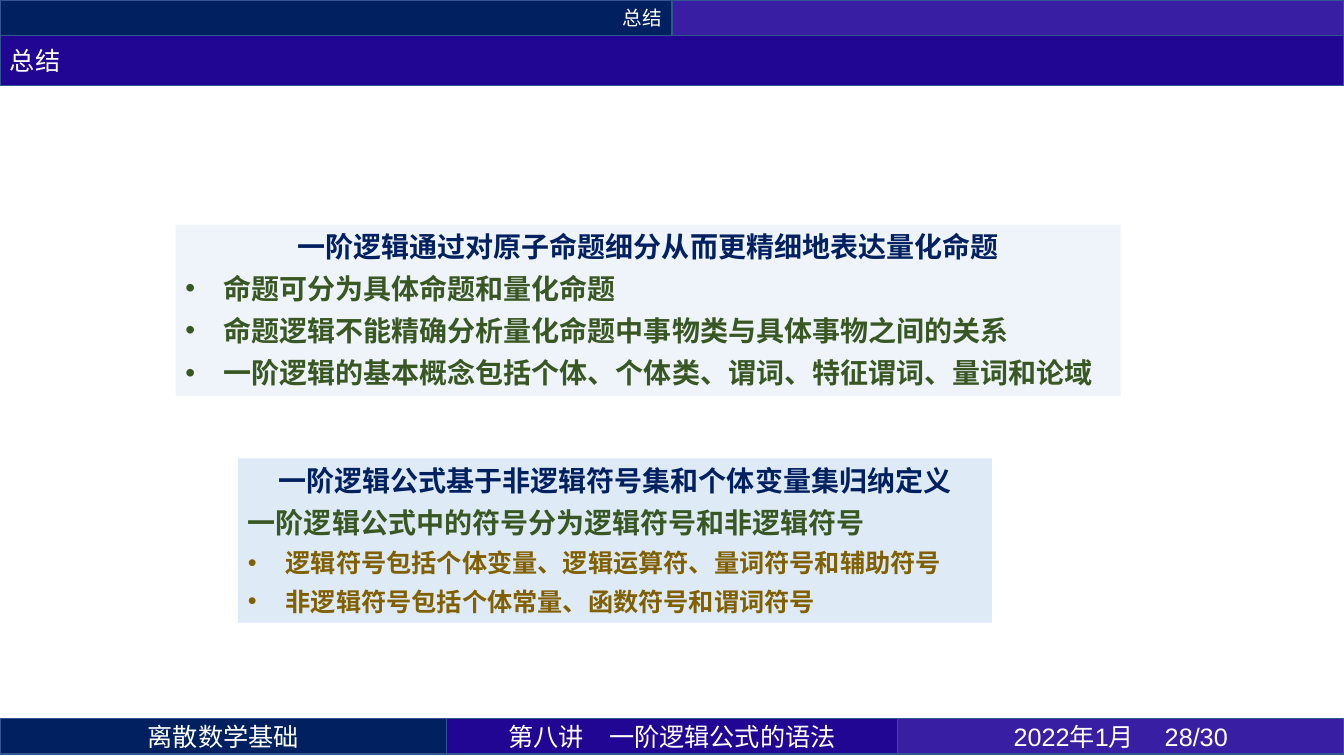
from dataclasses import dataclass

from lxml.etree import SubElement
from pptx import Presentation
from pptx.dml.color import RGBColor as RGB
from pptx.enum.shapes import MSO_SHAPE as SHAPE
from pptx.enum.text import MSO_ANCHOR as ANCHOR, MSO_AUTO_SIZE as FIT, PP_ALIGN as AL
from pptx.oxml.ns import qn
from pptx.util import Pt


@dataclass(frozen=True)
class Theme:
    navy: str = "002060"
    indigo: str = "210694"
    violet: str = "371EA2"
    edge: str = "325491"
    panel: str = "DEEBF7"
    green: str = "385723"
    brown: str = "806000"
    white: str = "FFFFFF"
    cjk: str = "Noto Sans CJK SC"
    latin: str = "Arial"
    small: int = 14
    body: int = 18
    head: int = 20
    indent: int = 27
    gap: int = 6


class Deck:
    def __init__(self, prs, theme):
        self.t = theme
        self.s = prs.slides.add_slide(prs.slide_layouts[6])

    def rect(self, box, fill, alpha=None):
        sp = self.s.shapes.add_shape(SHAPE.RECTANGLE, *map(Pt, box))
        sp.shadow.inherit = False
        sp.fill.solid()
        sp.fill.fore_color.rgb = RGB.from_string(fill)
        if alpha:
            color = sp.fill._xPr.find(qn("a:solidFill"))[0]
            SubElement(color, qn("a:alpha"), val=str(alpha * 1000))
        sp.line.fill.background()
        return sp

    def run(self, p, text, size, color, bold=False, font=None):
        r = p.add_run()
        r.text = text
        r.font.size, r.font.bold = Pt(size), bold
        r.font.name = font or self.t.cjk
        r.font.color.rgb = RGB.from_string(color)
        SubElement(r._r.get_or_add_rPr(), qn("a:ea"), typeface=self.t.cjk)

    def bar(self, box, fill, text="", align=AL.CENTER, size=None, font=None):
        sp = self.rect(box, fill)
        sp.line.color.rgb = RGB.from_string(self.t.edge)
        sp.line.width = Pt(1)
        tf = sp.text_frame
        tf.word_wrap, tf.vertical_anchor = True, ANCHOR.MIDDLE
        p = tf.paragraphs[0]
        p.alignment = align
        if text:
            self.run(p, text, size or self.t.body, self.t.white, font=font)

    def bullet(self, p):
        pPr = p._p.get_or_add_pPr()
        pPr.set("marL", str(Pt(self.t.indent)))
        pPr.set("indent", str(-Pt(self.t.indent)))
        SubElement(pPr, qn("a:buFont"), typeface=self.t.latin)
        SubElement(pPr, qn("a:buChar"), char="•")

    def panel(self, box, heading, lines, spacing, alpha=None):
        """Each line is (text, size, color, bulleted); spacing names the paragraph side."""
        tf = self.rect(box, self.t.panel, alpha).text_frame
        tf.word_wrap, tf.vertical_anchor = True, ANCHOR.TOP
        tf.auto_size = FIT.SHAPE_TO_FIT_TEXT
        rows = [(heading, self.t.head, self.t.navy, False), *lines]
        for i, (text, size, color, bulleted) in enumerate(rows):
            p = tf.add_paragraph() if i else tf.paragraphs[0]
            p.alignment = AL.LEFT if i else AL.CENTER
            setattr(p, spacing, Pt(self.t.gap))
            if bulleted:
                self.bullet(p)
            self.run(p, text, size, color, bold=True)


def main():
    prs = Presentation()
    W, H = 960, 540
    prs.slide_width, prs.slide_height = Pt(W), Pt(H)
    t = Theme()
    d = Deck(prs, t)

    # Navigation bars
    bar_h, title_h = 25.2, 36
    d.bar((0, 0, W / 2, bar_h), t.navy, "总结", AL.RIGHT, t.small)
    d.bar((W / 2, 0, W / 2, bar_h), t.violet)

    # Footer: equal outer cells around the lecture title
    side, foot_y = 319, 513.4
    d.bar((0, foot_y, side, bar_h), t.navy, "离散数学基础")
    d.bar((side, foot_y, W - 2 * side, bar_h), t.indigo, "第八讲\t一阶逻辑公式的语法")
    d.bar((W - side, foot_y, side, bar_h), t.violet, "2022年1月 \t28/30", font=t.latin)

    # Slide title
    d.bar((0, bar_h, W, title_h), t.indigo, "总结", AL.LEFT)

    # Summary panels
    d.panel((125.4, 160.4, 675, 122.4), "一阶逻辑通过对原子命题细分从而更精细地表达量化命题", [
        (text, t.head, t.green, True) for text in (
            "命题可分为具体命题和量化命题",
            "命题逻辑不能精确分析量化命题中事物类与具体事物之间的关系",
            "一阶逻辑的基本概念包括个体、个体类、谓词、特征谓词、量词和论域",
        )
    ], "space_before", alpha=50)
    d.panel((170, 327.4, 538.5, 117.4), "一阶逻辑公式基于非逻辑符号集和个体变量集归纳定义", [
        ("一阶逻辑公式中的符号分为逻辑符号和非逻辑符号", t.head, t.green, False),
        ("逻辑符号包括个体变量、逻辑运算符、量词符号和辅助符号", t.body, t.brown, True),
        ("非逻辑符号包括个体常量、函数符号和谓词符号", t.body, t.brown, True),
    ], "space_after")

    prs.save("out.pptx")


if __name__ == "__main__":
    main()
